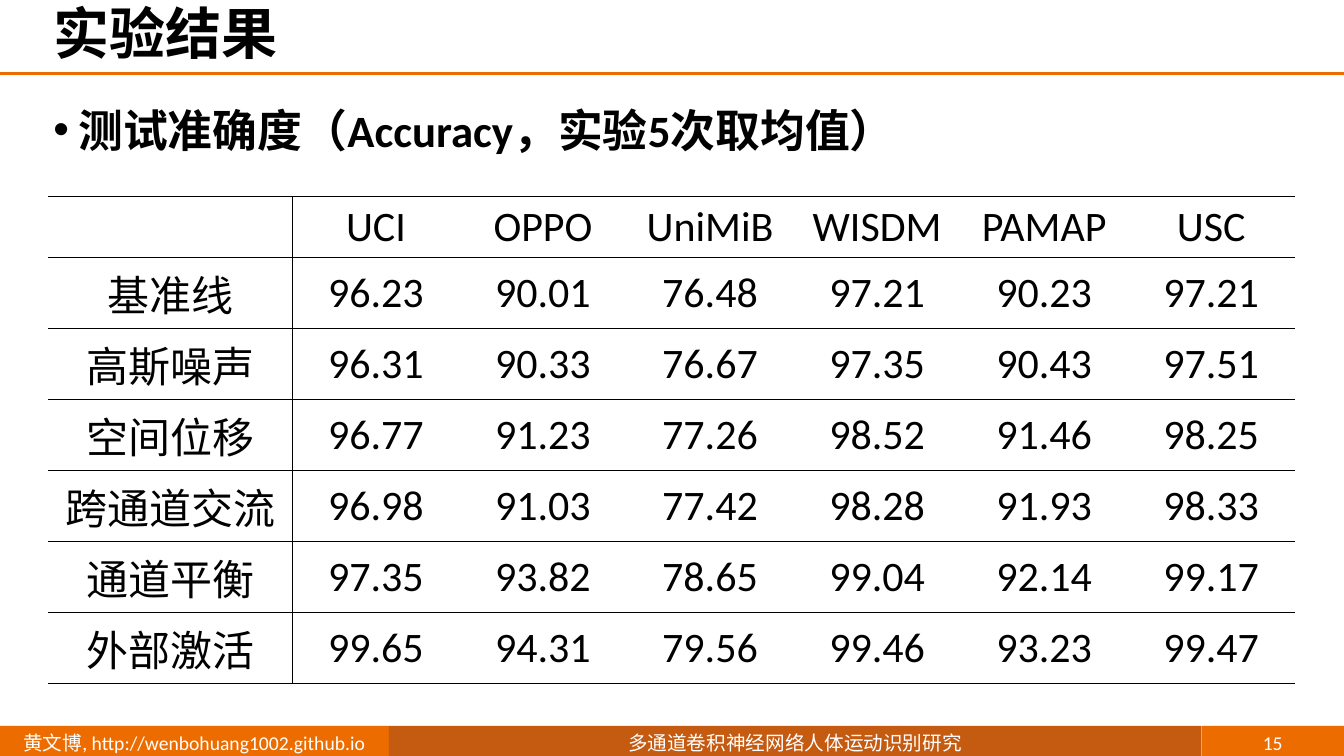
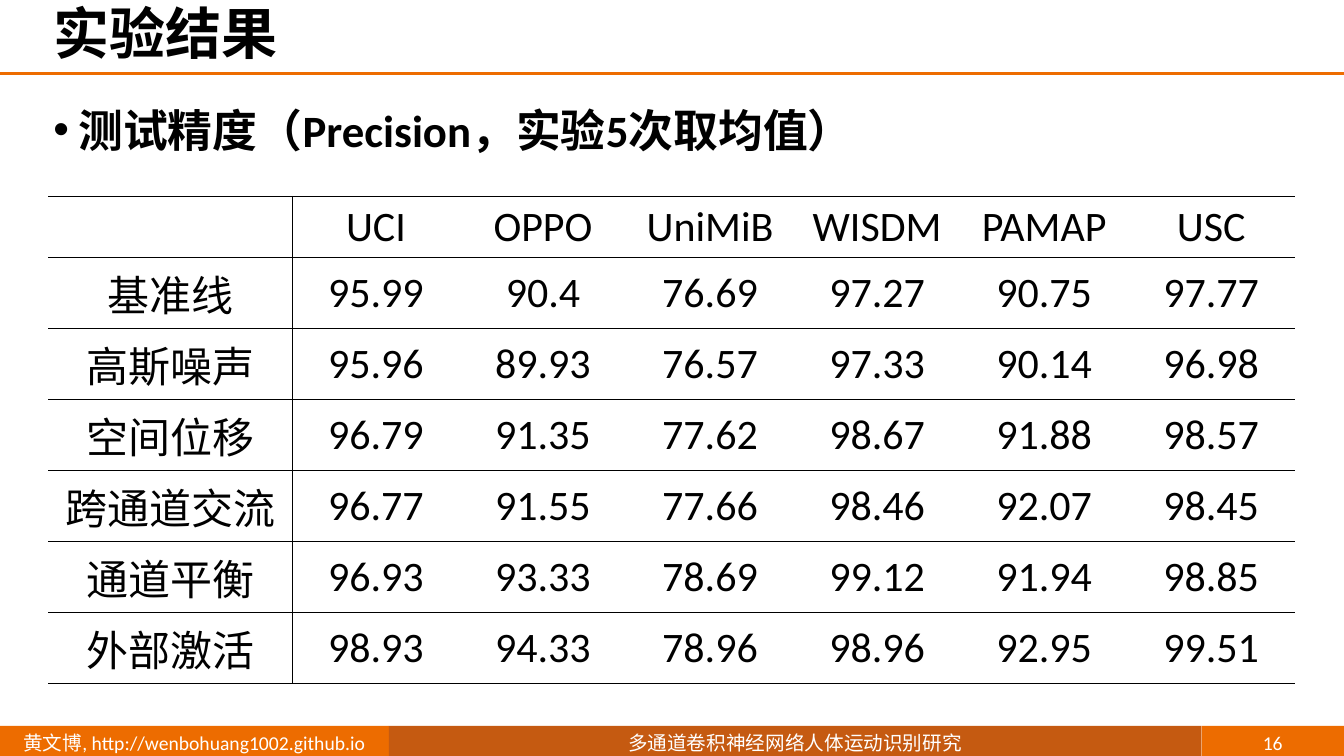
from dataclasses import dataclass

from lxml import etree
from pptx import Presentation
from pptx import util as u
from pptx.dml import color
from pptx.enum import lang, shapes, text
from pptx.oxml import ns


@dataclass(frozen=True)
class Theme:
    orange: str = "ED6C00"
    rust: str = "C55A11"
    ink: str = "000000"
    paper: str = "FFFFFF"
    font: str = "Calibri"
    title_size: int = 40
    body_size: int = 32
    table_size: int = 30
    footer_size: int = 14


WIDTH, HEIGHT = 33.87, 19.05
RULE_TOP = 1.85
BAND_TOP, BAND_HEIGHT = 18.29, 0.86
LABEL_WIDTH, VALUE_WIDTH, ROW_HEIGHT = 6.15, 4.21, 1.52

FOOTER_AUTHOR = "黄文博, http://wenbohuang1002.github.io"
FOOTER_TOPIC = "多通道卷积神经网络人体运动识别研究"
DATASETS = ["UCI", "OPPO", "UniMiB", "WISDM", "PAMAP", "USC"]
METHODS = ["基准线", "高斯噪声", "空间位移", "跨通道交流", "通道平衡", "外部激活"]

RESULTS = [
    (15, "测试准确度（Accuracy，实验5次取均值）", [
        ["96.23", "90.01", "76.48", "97.21", "90.23", "97.21"],
        ["96.31", "90.33", "76.67", "97.35", "90.43", "97.51"],
        ["96.77", "91.23", "77.26", "98.52", "91.46", "98.25"],
        ["96.98", "91.03", "77.42", "98.28", "91.93", "98.33"],
        ["97.35", "93.82", "78.65", "99.04", "92.14", "99.17"],
        ["99.65", "94.31", "79.56", "99.46", "93.23", "99.47"],
    ]),
    (16, "测试精度（Precision，实验5次取均值）", [
        ["95.99", "90.4", "76.69", "97.27", "90.75", "97.77"],
        ["95.96", "89.93", "76.57", "97.33", "90.14", "96.98"],
        ["96.79", "91.35", "77.62", "98.67", "91.88", "98.57"],
        ["96.77", "91.55", "77.66", "98.46", "92.07", "98.45"],
        ["96.93", "93.33", "78.69", "99.12", "91.94", "98.85"],
        ["98.93", "94.33", "78.96", "98.96", "92.95", "99.51"],
    ]),
]


def apply(target, **formats):
    for name, value in formats.items():
        setattr(target, name, value)


class Deck:
    def __init__(self, theme):
        self.theme = theme
        self.presentation = Presentation()
        apply(self.presentation, slide_width=u.Cm(WIDTH), slide_height=u.Cm(HEIGHT))
        self.slide = None

    def add_slide(self, number):
        self.slide = self.presentation.slides.add_slide(self.presentation.slide_layouts[1])
        theme = self.theme
        self.band(0, 9.8, theme.orange, FOOTER_AUTHOR)
        self.band(9.8, 20.48, theme.rust, FOOTER_TOPIC)
        self.band(30.28, 3.59, theme.orange, str(number))
        self.rule()

    def add_text(self, paragraph, content, size, ink, bold=False, **formats):
        apply(paragraph, **formats)
        run = paragraph.add_run()
        run.text = content
        apply(run.font, name=self.theme.font, size=u.Pt(size), bold=bold,
              language_id=lang.MSO_LANGUAGE_ID.SIMPLIFIED_CHINESE)
        run.font.color.rgb = color.RGBColor.from_string(ink)

    def band(self, left, width, fill, content):
        shape = self.slide.shapes.add_shape(
            shapes.MSO_SHAPE.RECTANGLE,
            u.Cm(left), u.Cm(BAND_TOP), u.Cm(width), u.Cm(BAND_HEIGHT))
        shape.shadow.inherit = False
        shape.fill.solid()
        shape.fill.fore_color.rgb = color.RGBColor.from_string(fill)
        shape.line.fill.background()
        apply(shape.text_frame, word_wrap=True, vertical_anchor=text.MSO_ANCHOR.MIDDLE)
        self.add_text(shape.text_frame.paragraphs[0], content, self.theme.footer_size,
                      self.theme.paper, alignment=text.PP_ALIGN.CENTER)

    def rule(self):
        connector = self.slide.shapes.add_connector(
            shapes.MSO_CONNECTOR.STRAIGHT,
            0, u.Cm(RULE_TOP), u.Cm(WIDTH), u.Cm(RULE_TOP))
        connector.line.color.rgb = color.RGBColor.from_string(self.theme.orange)
        connector.line.width = u.Pt(2)
        etree.SubElement(connector._element.spPr, ns.qn("a:effectLst"))

    def place(self, placeholder, left, top, width, height, anchor):
        apply(placeholder, left=u.Cm(left), top=u.Cm(top),
              width=u.Cm(width), height=u.Cm(height))
        apply(placeholder.text_frame, word_wrap=True, vertical_anchor=anchor,
              auto_size=text.MSO_AUTO_SIZE.NONE)
        return placeholder.text_frame.paragraphs[0]

    def title(self, content):
        paragraph = self.place(self.slide.shapes.title, 1.09, 0, 32.78, RULE_TOP,
                               text.MSO_ANCHOR.MIDDLE)
        self.add_text(paragraph, content, self.theme.title_size, self.theme.ink, bold=True,
                      alignment=text.PP_ALIGN.LEFT, line_spacing=0.9)

    def bullet(self, content):
        paragraph = self.place(self.slide.placeholders[1], 1.09, 2.18, 31.55, 16.1,
                               text.MSO_ANCHOR.TOP)
        properties = paragraph._p.get_or_add_pPr()
        indent = u.Cm(0.63)
        properties.set("marL", str(indent))
        properties.set("indent", str(-indent))
        etree.SubElement(properties, ns.qn("a:buFont"), typeface="Arial")
        etree.SubElement(properties, ns.qn("a:buChar"), char="•")
        self.add_text(paragraph, content, self.theme.body_size, self.theme.ink, bold=True,
                      line_spacing=1.2, space_before=u.Pt(0))

    def borders(self, cell, visible):
        properties = cell._tc.get_or_add_tcPr()
        for side in "LRTB":
            line = etree.SubElement(properties, ns.qn(f"a:ln{side}"), w=str(u.Pt(1)))
            if side in visible:
                fill = etree.SubElement(line, ns.qn("a:solidFill"))
                etree.SubElement(fill, ns.qn("a:srgbClr"), val=self.theme.ink)
            else:
                etree.SubElement(line, ns.qn("a:noFill"))

    def table(self, rows):
        columns = len(rows[0])
        widths = [LABEL_WIDTH] + [VALUE_WIDTH] * (columns - 1)
        table = self.slide.shapes.add_table(
            len(rows), columns, u.Cm(1.22), u.Cm(4.95),
            u.Cm(sum(widths)), u.Cm(ROW_HEIGHT * len(rows))).table
        apply(table, first_row=False, horz_banding=False)
        for column, width in zip(table.columns, widths):
            column.width = u.Cm(width)
        for row_index, row in enumerate(rows):
            for column_index, content in enumerate(row):
                cell = table.cell(row_index, column_index)
                self.borders(cell, "TB" + {0: "R", 1: "L"}.get(column_index, ""))
                cell.fill.background()
                cell.vertical_anchor = text.MSO_ANCHOR.MIDDLE
                if content:
                    self.add_text(cell.text_frame.paragraphs[0], content,
                                  self.theme.table_size, self.theme.ink,
                                  alignment=text.PP_ALIGN.CENTER)


def main():
    deck = Deck(Theme())
    for number, heading, values in RESULTS:
        deck.add_slide(number)
        deck.title("实验结果")
        deck.bullet(heading)
        deck.table([["", *DATASETS]] + [[method, *row] for method, row in zip(METHODS, values)])
    deck.presentation.save("out.pptx")


if __name__ == "__main__":
    main()
